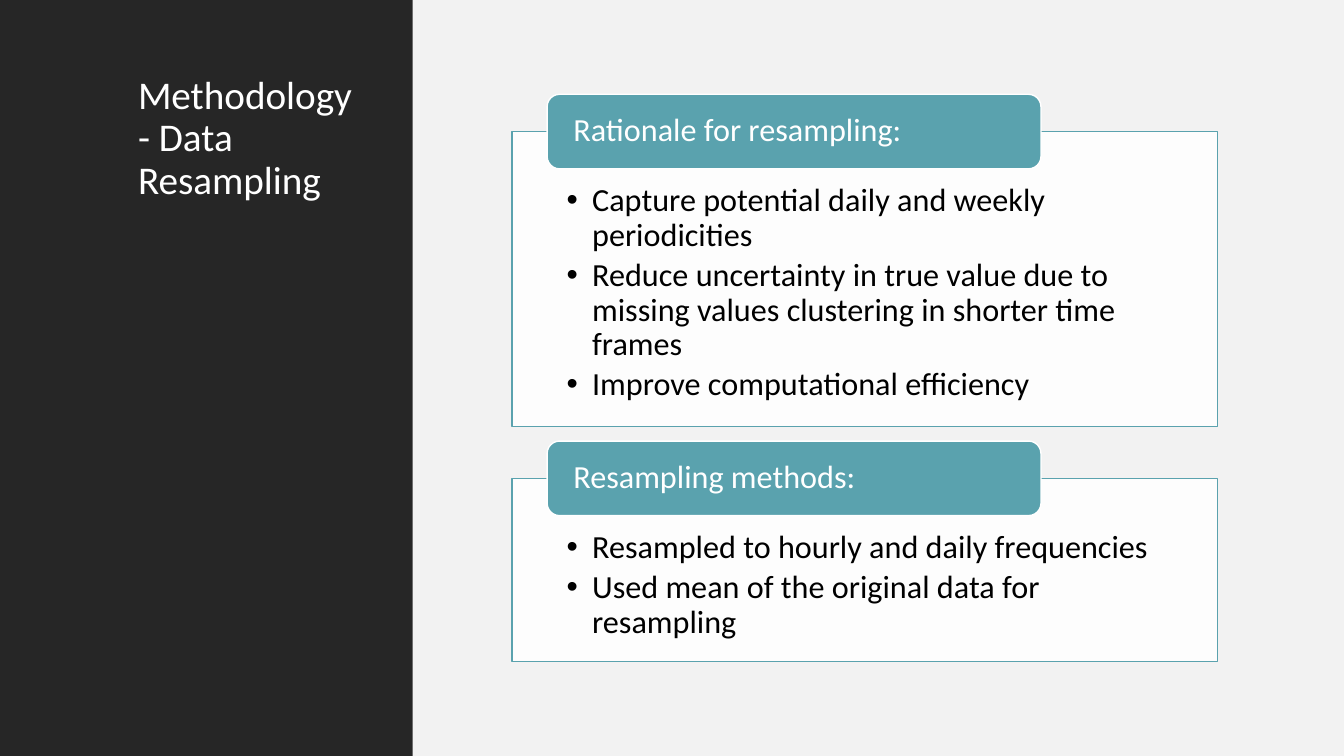
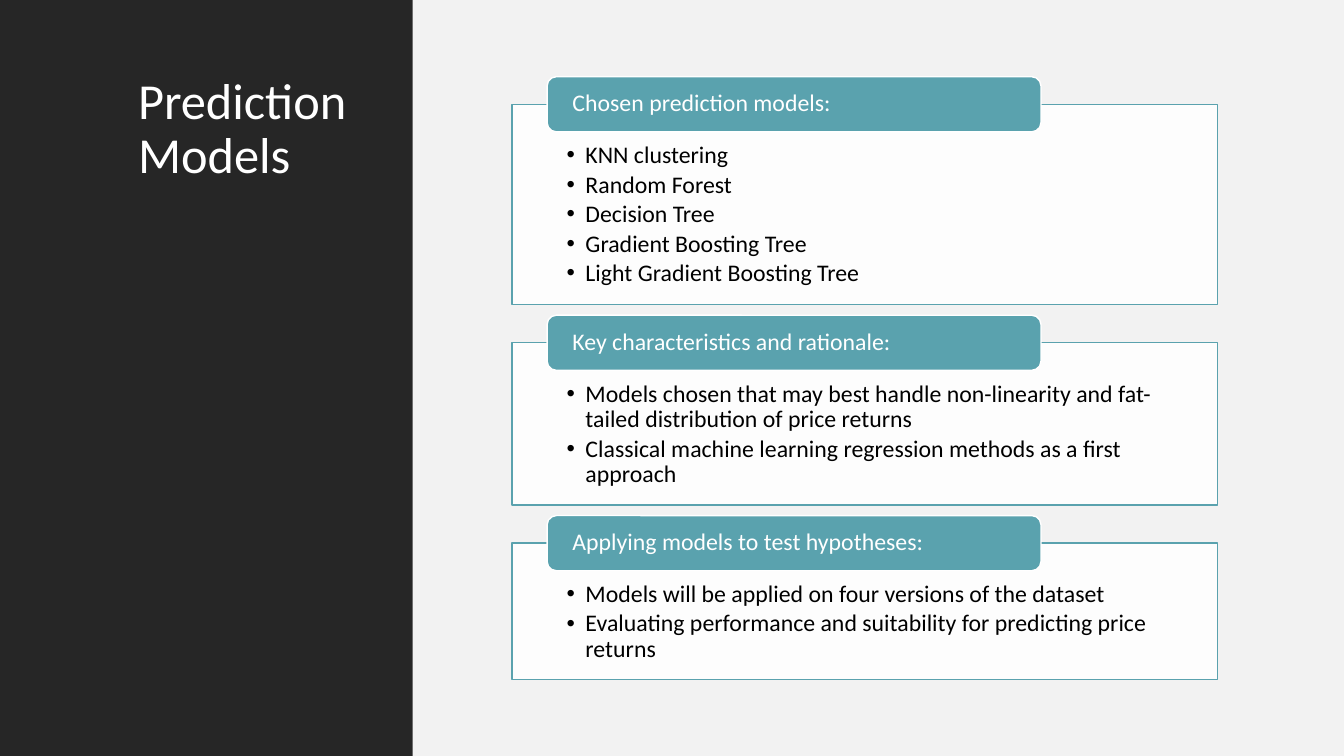
from lxml import etree
from pptx import Presentation
from pptx.dml.color import RGBColor
from pptx.enum import shapes, text
from pptx.oxml import ns
from pptx.util import Cm, Pt

COLORS = {"panel": "F2F2F2", "sidebar": "262626", "accent": "5AA2AE",
          "light": "FFFFFF", "dark": "000000"}
FONT = "Calibri"
SLIDE_W, SLIDE_H = 33.87, 19.05
SIDEBAR_W = 10.4
BOX_X, BOX_W = 12.9, 17.78
TAB_X, TAB_W = BOX_X + 0.05 * BOX_W, 0.7 * BOX_W

# Measures in cm per point of text size
TAB_H, GAP = 0.0817, 0.0156
BODY_TOP, BODY_BOTTOM, INDENT = 0.0574, 0.02, 0.028

SLIDES = [
    ("Methodology - Data Resampling", 28, 23, [
        ("Rationale for resampling:", 7.44, [
            "Capture potential daily and weekly periodicities",
            "Reduce uncertainty in true value due to missing values "
            "clustering in shorter time frames",
            "Improve computational efficiency"]),
        ("Resampling methods:", 4.62, [
            "Resampled to hourly and daily frequencies",
            "Used mean of the original data for resampling"]),
    ]),
    ("Prediction Models", 36, 17, [
        ("Chosen prediction models:", 5.05, [
            "KNN clustering",
            "Random Forest",
            "Decision Tree",
            "Gradient Boosting Tree",
            "Light Gradient Boosting Tree"]),
        ("Key characteristics and rationale:", 4.09, [
            "Models chosen that may best handle non-linearity and "
            "fat-tailed distribution of price returns",
            "Classical machine learning regression methods as a first approach"]),
        ("Applying models to test hypotheses:", 3.43, [
            "Models will be applied on four versions of the dataset",
            "Evaluating performance and suitability for predicting price returns"]),
    ]),
]


def rgb(name):
    return RGBColor.from_string(COLORS[name])


def add_block(slide, kind, x, y, w, h, fill, line=None, opacity=None):
    """Add a filled preset shape; opacity is a percentage."""
    sp = slide.shapes.add_shape(kind, Cm(x), Cm(y), Cm(w), Cm(h))
    sp.shadow.inherit = False
    sp.fill.solid()
    sp.fill.fore_color.rgb = rgb(fill)
    if opacity is not None:
        color = sp.fill._xPr.find(".//" + ns.qn("a:srgbClr"))
        etree.SubElement(color, ns.qn("a:alpha"), val=str(opacity * 1000))
    if line:
        sp.line.color.rgb = rgb(line)
        sp.line.width = Pt(1)
    else:
        sp.line.fill.background()
    return sp


def set_bullet(p, indent):
    pPr = p._p.get_or_add_pPr()
    pPr.set("marL", str(Cm(indent)))
    pPr.set("indent", str(-Cm(indent)))
    etree.SubElement(pPr, ns.qn("a:buFont"), typeface="Arial")
    etree.SubElement(pPr, ns.qn("a:buChar"), char="•")


def write(sp, lines, size, color, insets=(0.25, 0.13, 0.25, 0.13),
          anchor=text.MSO_ANCHOR.TOP, space_after=0, indent=None):
    """Fill a shape with paragraphs; insets are left, top, right, bottom."""
    tf = sp.text_frame
    tf.word_wrap = True
    tf.vertical_anchor = anchor
    (tf.margin_left, tf.margin_top,
     tf.margin_right, tf.margin_bottom) = map(Cm, insets)
    for i, line in enumerate(lines):
        p = tf.add_paragraph() if i else tf.paragraphs[0]
        p.alignment = text.PP_ALIGN.LEFT
        p.line_spacing = 0.9
        p.space_after = Pt(space_after)
        if indent:
            set_bullet(p, indent)
        r = p.add_run()
        r.text = line
        r.font.name = FONT
        r.font.size = Pt(size)
        r.font.color.rgb = rgb(color)


def add_frame(slide, title, size):
    """Draw the panel, the sidebar and the slide title."""
    rect = shapes.MSO_SHAPE.RECTANGLE
    add_block(slide, rect, SIDEBAR_W, 0, SLIDE_W - SIDEBAR_W, SLIDE_H, "panel")
    add_block(slide, rect, 0, 0, SIDEBAR_W, SLIDE_H, "sidebar")
    sp = slide.shapes.add_textbox(Cm(3.23), Cm(1.78), Cm(6.1), Cm(15.5))
    write(sp, [title], size, "light")


def add_section(slide, y, height, heading, bullets, size):
    """Draw a bordered list whose top edge, at y, is straddled by a heading tab."""
    box = add_block(slide, shapes.MSO_SHAPE.RECTANGLE, BOX_X, y, BOX_W, height,
                    "light", line="accent", opacity=90)
    write(box, bullets, size, "dark", space_after=0.16 * size,
          insets=(1.38, BODY_TOP * size, 1.38, BODY_BOTTOM * size),
          indent=INDENT * size)
    tab_h = TAB_H * size
    tab = add_block(slide, shapes.MSO_SHAPE.ROUNDED_RECTANGLE, TAB_X,
                    y - tab_h / 2, TAB_W, tab_h, "accent", line="light")
    write(tab, [heading], size, "light", insets=(0.57, 0, 0.57, 0),
          anchor=text.MSO_ANCHOR.MIDDLE)


def add_sections(slide, sections, size):
    """Stack the sections, centred on the slide's height."""
    half_tab, gap = TAB_H * size / 2, GAP * size
    total = sum(h + half_tab + gap for _, h, _ in sections) - gap
    y = (SLIDE_H - total) / 2 + half_tab
    for heading, height, bullets in sections:
        add_section(slide, y, height, heading, bullets, size)
        y += height + gap + half_tab


def main():
    prs = Presentation()
    prs.slide_width, prs.slide_height = Cm(SLIDE_W), Cm(SLIDE_H)
    for title, title_size, body_size, sections in SLIDES:
        slide = prs.slides.add_slide(prs.slide_layouts[6])
        add_frame(slide, title, title_size)
        add_sections(slide, sections, body_size)
    prs.save("out.pptx")


if __name__ == "__main__":
    main()
